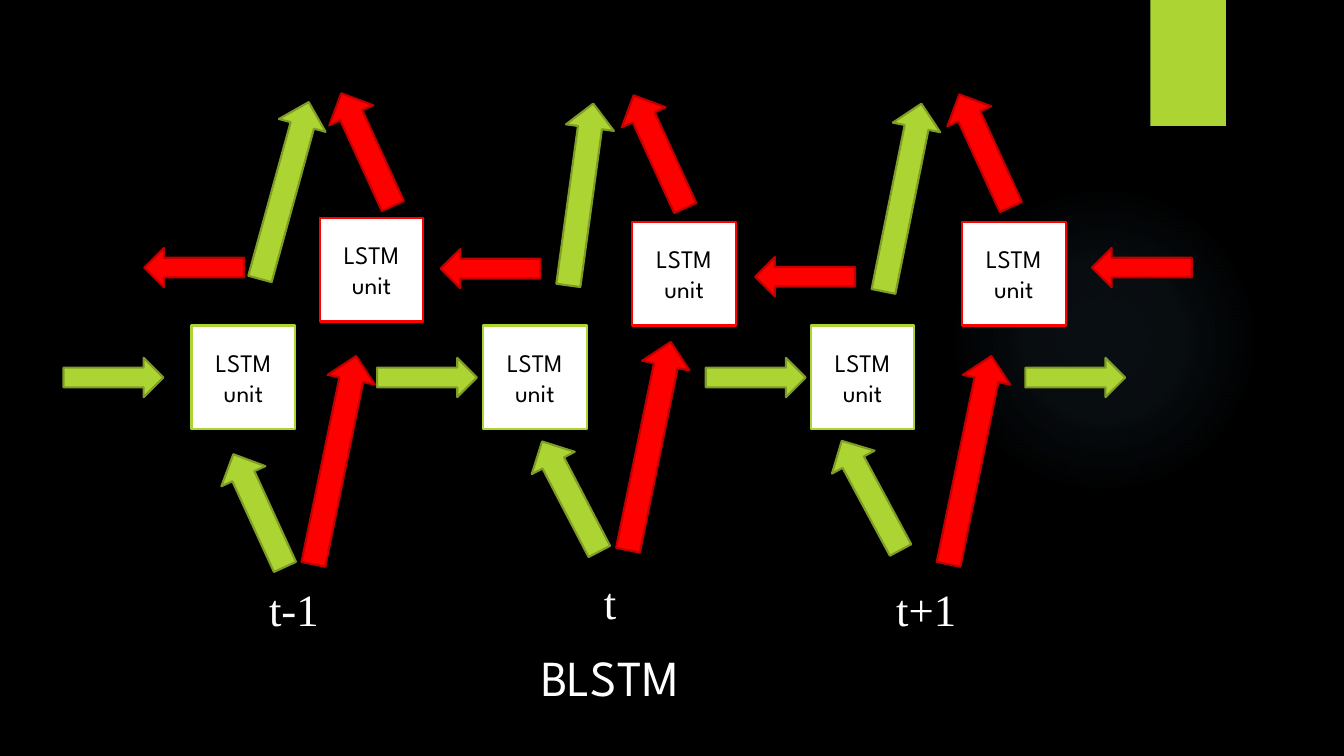
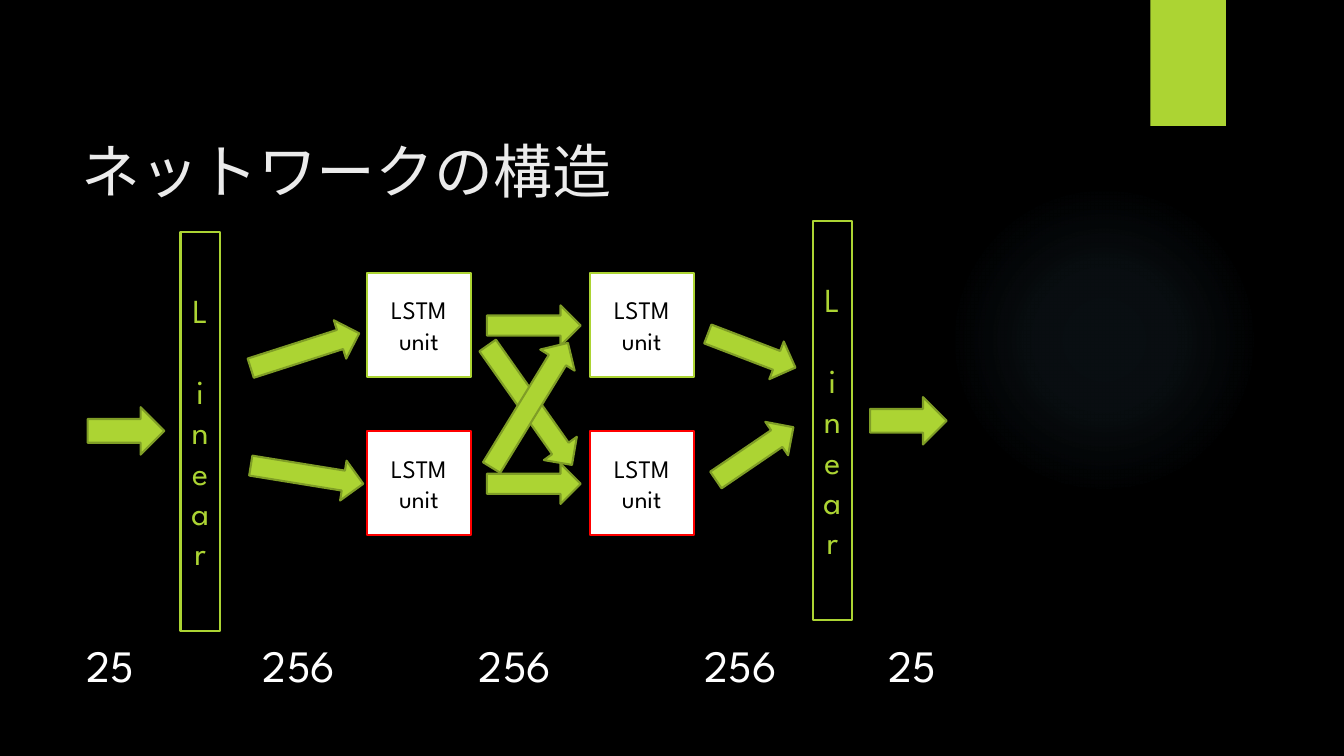
from dataclasses import dataclass

from pptx import Presentation
from pptx.dml.color import RGBColor
from pptx.enum.shapes import MSO_SHAPE
from pptx.enum.text import MSO_ANCHOR, MSO_AUTO_SIZE, PP_ALIGN
from pptx.oxml import parse_xml
from pptx.oxml.ns import nsdecls
from pptx.util import Emu, Pt

RECT, OVAL = MSO_SHAPE.RECTANGLE, MSO_SHAPE.OVAL
DOWN, RIGHT = MSO_SHAPE.DOWN_ARROW, MSO_SHAPE.RIGHT_ARROW
MIDDLE, LEFT, CENTER = MSO_ANCHOR.MIDDLE, PP_ALIGN.LEFT, PP_ALIGN.CENTER
GROW = MSO_AUTO_SIZE.SHAPE_TO_FIT_TEXT

BLACK = RGBColor(0x00, 0x00, 0x00)
WHITE = RGBColor(0xFF, 0xFF, 0xFF)
TITLE_GRAY = RGBColor(0xEB, 0xEB, 0xEB)
GREEN = RGBColor(0xAC, 0xD4, 0x33)
DARK_GREEN = RGBColor(0x7F, 0x9D, 0x26)
RED = RGBColor(0xFF, 0x00, 0x00)
DARK_RED = RGBColor(0xC0, 0x00, 0x00)
EDGE = {GREEN: DARK_GREEN, RED: DARK_RED}

SANS, SERIF = "League Spartan", "Times New Roman"
EMU_PER_PX = 9144  # 100 px to the inch
UNIT = 103
LINE_WIDTH = Pt(1.5)
GLOW_STOPS = ((0, 7), (36, 6), (69, 0))


@dataclass(frozen=True)
class Unit:
    x: int
    y: int
    color: RGBColor = GREEN


@dataclass(frozen=True)
class Arrow:
    x: int
    y: int
    w: int
    h: int
    rot: float = 0
    color: RGBColor = GREEN


@dataclass(frozen=True)
class Label:
    text: str
    x: int
    y: int
    w: int
    h: int = 64
    size: int = 32
    font: str = SANS


FORWARD_X = (190, 479, 804)
BACKWARD = ((317, 216), (627, 220), (954, 220))
BLSTM_UNITS = [Unit(x, 323) for x in FORWARD_X]
BLSTM_UNITS += [Unit(x, y, RED) for x, y in BACKWARD]

BLSTM_ARROWS = [
    # into and out of the forward units
    Arrow(233, 445, 48, 123, 155.4),
    Arrow(542, 431, 48, 123, 152.5),
    Arrow(840, 430, 48, 123, 151.7),
    Arrow(258, 98, 48, 182, 195.4),
    Arrow(552, 102, 48, 182, 187.8),
    Arrow(871, 101, 48, 190, 191.4),
]
BLSTM_ARROWS += [Arrow(x, 325, 39, 99, 270) for x in (93, 404, 730, 1047)]
BLSTM_ARROWS += [Arrow(x, y, 48, 211, 191.6, RED)
                 for x, y in ((308, 351), (620, 337), (938, 351))]
BLSTM_ARROWS += [Arrow(x, y, 48, 123, 155.4, RED)
                 for x, y in ((340, 87), (630, 89), (953, 88))]
BLSTM_ARROWS += [Arrow(x, y, 39, 99, 90, RED)
                 for x, y in ((173, 216), (467, 217), (779, 225), (1113, 216))]

BLSTM_LABELS = [
    Label("t-1", 257, 572, 71, font=SERIF),
    Label("t", 589, 565, 29, font=SERIF),
    Label("t+1", 879, 572, 86, font=SERIF),
    Label("BLSTM", 527, 636, 177, 71, 36),
]

NETWORK_UNITS = [Unit(x, y, color) for x in (364, 585)
                 for y, color in ((271, GREEN), (428, RED))]
NETWORK_ARROWS = [
    Arrow(87, 404, 76, 47),
    Arrow(246, 328, 113, 40, 342.2),
    Arrow(248, 451, 113, 40, 9.2),
    Arrow(483, 303, 93, 40),
    Arrow(483, 460, 93, 40),
    Arrow(453, 382, 145, 40, 54.8),
    Arrow(453, 382, 145, 40, 301.5),
    Arrow(699, 328, 93, 40, 21),
    Arrow(702, 430, 93, 40, 325.7),
    Arrow(863, 394, 76, 47),
]
LINEAR_LAYERS = ((179, 230), (806, 219))
SIZE_LABELS = [Label(text, x, 628, w) for text, x, w in (
    ("25", 76, 99), ("256", 251, 112), ("256", 465, 112),
    ("256", 689, 112), ("25", 871, 99))]


def px(n: int) -> Emu:
    return Emu(n * EMU_PER_PX)


def set_text(tf, text: str, *, size: int, color: RGBColor,
             font: str = SANS, align=LEFT) -> None:
    tf.word_wrap = True
    p = tf.paragraphs[0]
    p.alignment = align
    r = p.add_run()
    r.text = text
    r.font.name, r.font.size, r.font.color.rgb = font, Pt(size), color


def add_shape(slide, kind, x: int, y: int, w: int, h: int, *,
              fill: RGBColor | None = None, line: RGBColor | None = None):
    sp = slide.shapes.add_shape(kind, px(x), px(y), px(w), px(h))
    sp.shadow.inherit = False
    if fill is None:
        sp.fill.background()
    else:
        sp.fill.solid()
        sp.fill.fore_color.rgb = fill
    if line is None:
        sp.line.fill.background()
    else:
        sp.line.color.rgb = line
        sp.line.width = LINE_WIDTH
    return sp


def add_box(slide, text: str, x: int, y: int, w: int, h: int, *, size: int,
            color: RGBColor, line: RGBColor,
            fill: RGBColor | None = None) -> None:
    sp = add_shape(slide, RECT, x, y, w, h, fill=fill, line=line)
    sp.text_frame.vertical_anchor = MIDDLE
    set_text(sp.text_frame, text, size=size, color=color, align=CENTER)


def add_units(slide, units: list[Unit]) -> None:
    for u in units:
        add_box(slide, "LSTM unit", u.x, u.y, UNIT, UNIT, size=18,
                color=BLACK, line=u.color, fill=WHITE)


def add_arrows(slide, kind, arrows: list[Arrow]) -> None:
    for a in arrows:
        sp = add_shape(slide, kind, a.x, a.y, a.w, a.h,
                       fill=a.color, line=EDGE[a.color])
        sp.rotation = a.rot


def add_labels(slide, labels: list[Label]) -> None:
    for label in labels:
        sp = slide.shapes.add_textbox(px(label.x), px(label.y),
                                      px(label.w), px(label.h))
        tf = sp.text_frame
        set_text(tf, label.text, size=label.size, color=WHITE, font=label.font)
        tf.auto_size = GROW


def set_glow(sp) -> None:
    """Replace the fill with a faint blue glow fading outwards."""
    stops = "".join(
        f'<a:gs pos="{pos * 1000}"><a:srgbClr val="7AC4F0">'
        f'<a:alpha val="{alpha * 1000}"/></a:srgbClr></a:gs>'
        for pos, alpha in GLOW_STOPS)
    grad = parse_xml(
        f'<a:gradFill {nsdecls("a")} rotWithShape="1"><a:gsLst>{stops}</a:gsLst>'
        '<a:path path="circle"><a:fillToRect l="50000" t="50000" r="50000" '
        'b="50000"/></a:path></a:gradFill>')
    sp_pr = sp.element.spPr
    old = sp_pr.find("{*}noFill")
    sp_pr.replace(old, grad)


def style_master(prs, slide) -> None:
    """Give the master its background, glow and tab, built on a slide first."""
    master = prs.slide_master
    master.background.fill.solid()
    master.background.fill.fore_color.rgb = BLACK
    glow = add_shape(slide, OVAL, 941, 183, 308, 308)
    set_glow(glow)
    tab = add_shape(slide, RECT, 1141, 0, 75, 125, fill=GREEN)
    for sp in (glow, tab):
        master.element.cSld.spTree.append(sp.element)


def build_blstm(slide) -> None:
    add_units(slide, BLSTM_UNITS)
    add_arrows(slide, DOWN, BLSTM_ARROWS)
    add_labels(slide, BLSTM_LABELS)


def build_network(slide) -> None:
    title = slide.shapes.title
    title.left, title.top = px(71), px(135)
    title.width, title.height = px(1029), px(68)
    title.text_frame.vertical_anchor = MIDDLE
    set_text(title.text_frame, "ネットワークの構造", size=42, color=TITLE_GRAY)
    for x, y in LINEAR_LAYERS:
        add_box(slide, "L　inear", x, y, 39, 396, size=24,
                color=GREEN, line=GREEN)
    add_units(slide, NETWORK_UNITS)
    add_arrows(slide, RIGHT, NETWORK_ARROWS)
    add_labels(slide, SIZE_LABELS)


def main() -> None:
    prs = Presentation()
    prs.slide_width, prs.slide_height = px(1333), px(750)
    title_only, blank = prs.slide_layouts[5], prs.slide_layouts[6]
    blstm = prs.slides.add_slide(blank)
    style_master(prs, blstm)
    build_blstm(blstm)
    build_network(prs.slides.add_slide(title_only))
    prs.save("out.pptx")


if __name__ == "__main__":
    main()
